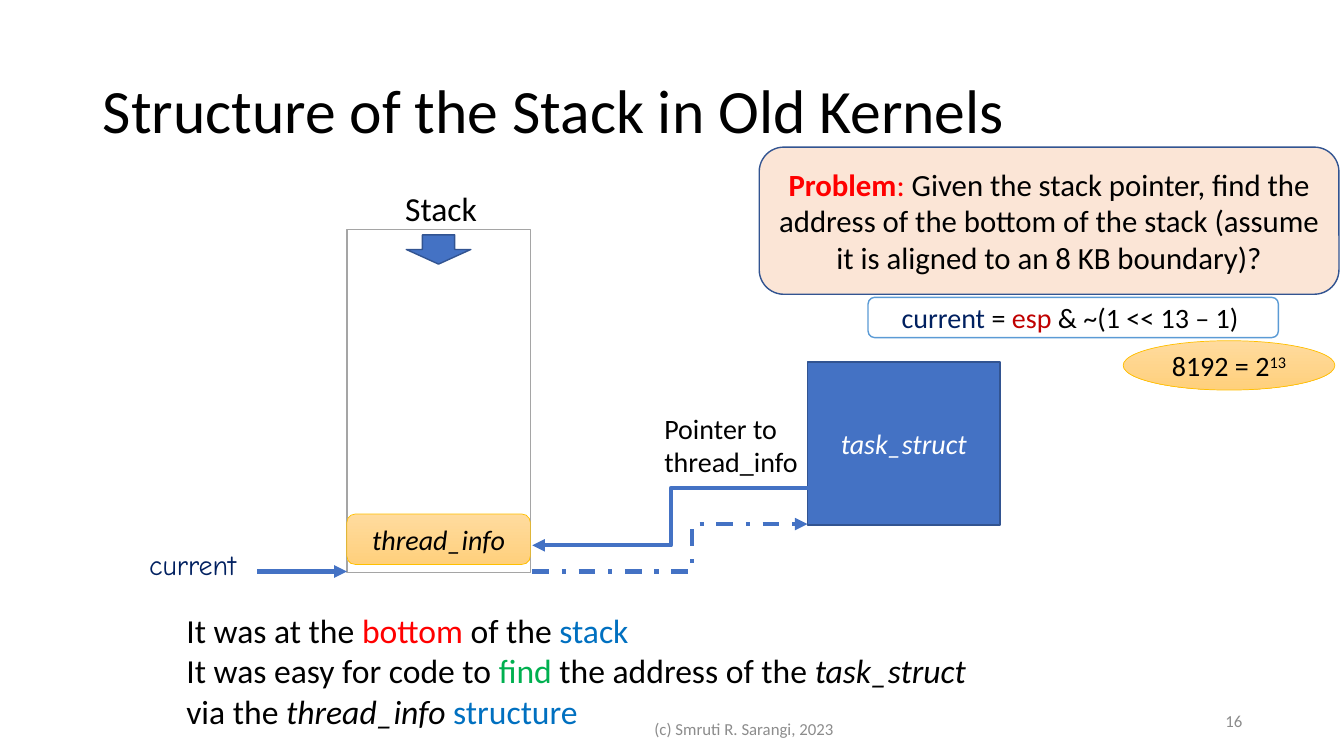
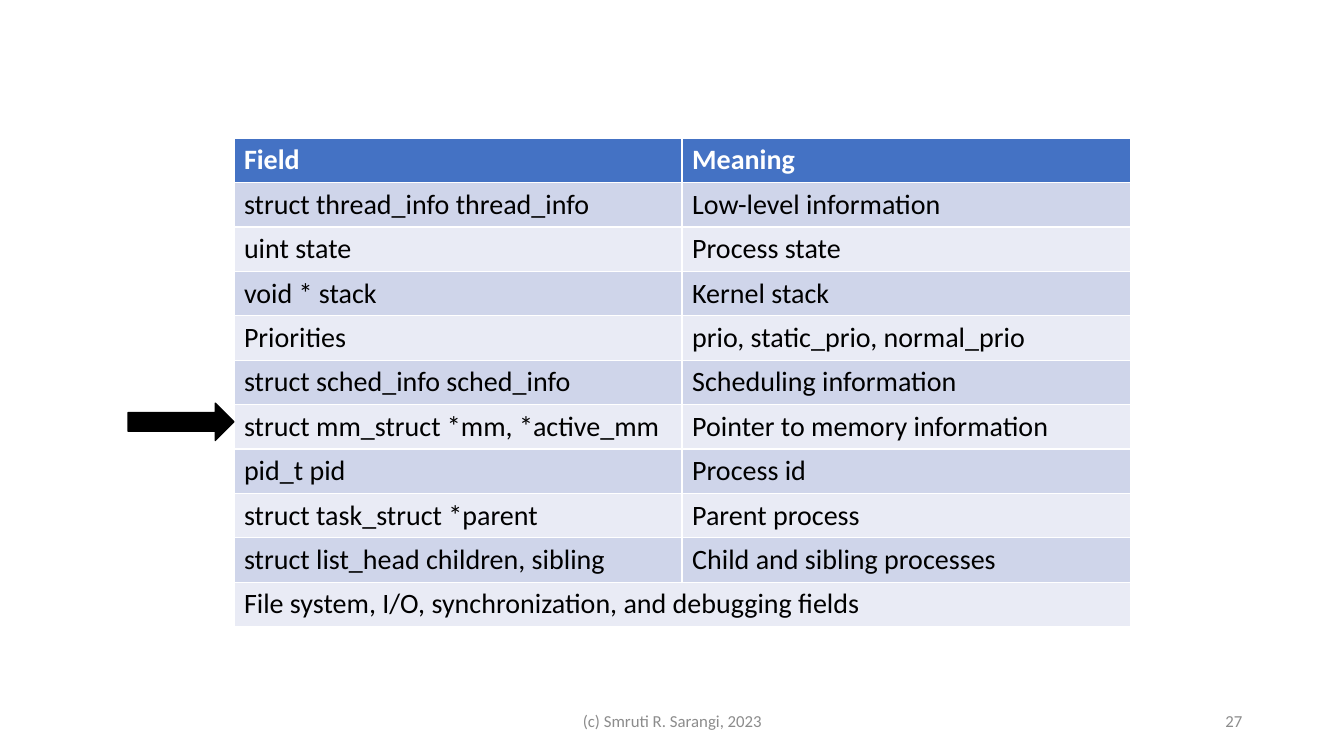
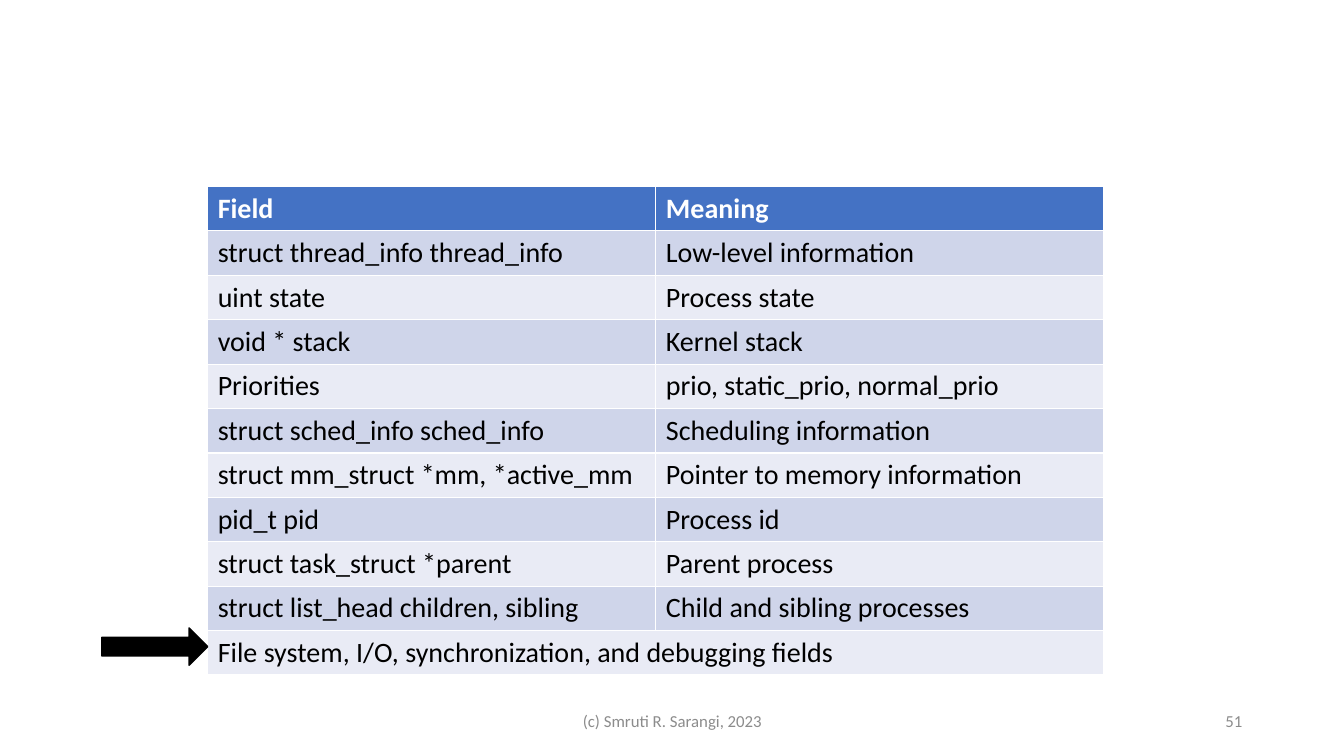
from pptx import Presentation
from pptx.dml.color import RGBColor
from pptx.enum.dml import MSO_LINE
from pptx.enum.shapes import MSO_CONNECTOR as LINK, MSO_SHAPE as SHAPE
from pptx.enum.text import MSO_ANCHOR as ANCHOR, PP_ALIGN as ALIGN
from pptx.oxml.ns import qn
from pptx.util import Inches, Pt
from lxml.etree import SubElement

COLOURS = {
    "black": "000000", "white": "FFFFFF", "grey": "8C8C8C", "frame": "A5A5A5",
    "blue": "4472C4", "outline": "325491", "sky": "5B9BD5", "navy": "002060",
    "azure": "0070C0", "red": "FF0000", "crimson": "C00000", "green": "00B050",
    "peach": "FBE5D6", "gold": "FFC000", "gold_top": "FFDB9E", "gold_end": "FFD07C",
    "band_dark": "CFD5EA", "band_light": "E9EBF5",
}
RGB = {name: RGBColor.from_string(value) for name, value in COLOURS.items()}
FONT = "Calibri"


def write(frame, paragraphs, size, align=ALIGN.LEFT, anchor=ANCHOR.TOP, font=FONT):
    """Fill a text frame; a run is (text, colour, style), style holding b, i or ^."""
    frame.word_wrap = True
    frame.vertical_anchor = anchor
    for index, runs in enumerate(paragraphs):
        paragraph = frame.add_paragraph() if index else frame.paragraphs[0]
        paragraph.alignment = align
        for text, colour, style in runs:
            if text == "\n":
                paragraph.add_line_break()
                continue
            run = paragraph.add_run()
            run.text = text
            run.font.name = font
            run.font.size = Pt(size)
            run.font.bold = "b" in style
            run.font.italic = "i" in style
            run.font.color.rgb = RGB[colour]
            if "^" in style:
                run.font._element.set("baseline", "30000")


def draw(slide, kind, box, fill, line, width=1, runs=(), size=20):
    """Add a preset shape with centred text; the fill "gold" is a gradient."""
    shape = slide.shapes.add_shape(kind, *map(Inches, box))
    shape.shadow.inherit = False
    if fill == "gold":
        shape.fill.gradient()
        shape.fill.gradient_angle = 270
        for stop, colour in zip(shape.fill.gradient_stops, ("gold_top", "gold_end")):
            stop.color.rgb = RGB[colour]
    else:
        shape.fill.solid()
        shape.fill.fore_color.rgb = RGB[fill]
    shape.line.color.rgb = RGB[line]
    shape.line.width = Pt(width)
    if runs:
        write(shape.text_frame, [runs], size, ALIGN.CENTER, ANCHOR.MIDDLE)


prs = Presentation()
prs.slide_width, prs.slide_height = Inches(13.33), Inches(7.5)
TITLE_ONLY, BLANK = prs.slide_layouts[5], prs.slide_layouts[6]

# Stack structure
stack_slide = prs.slides.add_slide(TITLE_ONLY)
title = stack_slide.shapes.title
title.left, title.top, title.width, title.height = map(Inches, (0.92, 0.4, 11.5, 1.45))
write(title.text_frame, [[("Structure of the Stack in Old Kernels", "black", "")]],
      44, anchor=ANCHOR.MIDDLE)
title.text_frame.paragraphs[0].line_spacing = 0.9

for kind, box, fill, line, width, runs, size in [
    (SHAPE.RECTANGLE, (3.44, 2.28, 1.82, 3.4), "white", "frame", 1, [], 20),
    (SHAPE.DOWN_ARROW, (4.03, 2.33, 0.64, 0.29), "blue", "outline", 1, [], 20),
    (SHAPE.ROUNDED_RECTANGLE, (3.44, 5.1, 1.82, 0.5), "gold", "gold", 0.5,
     [("thread_info", "black", "i")], 20),
    (SHAPE.RECTANGLE, (8.01, 3.59, 1.91, 1.62), "blue", "outline", 1,
     [("task_struct", "white", "i")], 20),
    (SHAPE.ROUNDED_RECTANGLE, (7.53, 1.46, 5.75, 1.46), "peach", "outline", 1,
     [("Problem", "red", "b"), (": ", "red", ""),
      ("Given the stack pointer, find the address of the bottom of the stack "
       "(assume it is aligned to an 8 KB boundary)?", "black", "")], 22),
    (SHAPE.ROUNDED_RECTANGLE, (8.61, 2.95, 4.07, 0.4), "white", "sky", 1,
     [("current", "navy", ""), (" = ", "black", ""), ("esp", "crimson", ""),
      (" & ~(1 << 13 – 1) ", "black", "")], 20),
    (SHAPE.OVAL, (11.14, 3.38, 2.1, 0.49), "gold", "gold", 0.5,
     [("8192 = 2", "black", ""), ("13", "black", "^")], 20),
]:
    draw(stack_slide, kind, box, fill, line, width, runs, size)

for box, size, font, paragraphs in [
    ((3.92, 1.82, 1, 0.5), 24, FONT, [[("Stack", "black", "")]]),
    ((6.49, 4.03, 1.91, 0.77), 20, FONT, [[("Pointer to thread_info", "black", "")]]),
    ((1.38, 5.38, 1.19, 0.44), 20, "Comic Neue", [[("current", "navy", "")]]),
    ((1.75, 6, 8.2, 1.31), 24, FONT, [
        [("It was at the ", "black", ""), ("bottom", "red", ""),
         (" of the ", "black", ""), ("stack", "azure", "")],
        [("It was easy for code to ", "black", ""), ("find", "green", ""),
         (" the address of the ", "black", ""), ("task_struct", "black", "i"),
         ("\n", "black", ""), ("via the ", "black", ""),
         ("thread_info ", "black", "i"), ("structure", "azure", "")],
    ]),
]:
    label = stack_slide.shapes.add_textbox(*map(Inches, box))
    write(label.text_frame, paragraphs, size, font=font)

for kind, ends, dash, bend in [
    (LINK.ELBOW, (8.03, 4.84, 5.28, 5.41), None, None),
    (LINK.STRAIGHT, (2.55, 5.67, 3.44, 5.67), None, None),
    (LINK.ELBOW, (5.28, 5.67, 8.01, 5.2), MSO_LINE.DASH_DOT, 58000),
]:
    pointer = stack_slide.shapes.add_connector(kind, *map(Inches, ends))
    pointer.line.color.rgb = RGB["blue"]
    pointer.line.width = Pt(3)
    if dash:
        pointer.line.dash_style = dash
    properties = pointer._element.spPr
    SubElement(properties.find(qn("a:ln")), qn("a:tailEnd"), type="triangle")
    SubElement(properties, qn("a:effectLst"))
    if bend:
        guides = properties.find(qn("a:prstGeom")).find(qn("a:avLst"))
        SubElement(guides, qn("a:gd"), name="adj1", fmla=f"val {bend}")

# Fields of task_struct, with an arrow at the field under discussion
FIELDS = [
    ("Field", "Meaning"),
    ("struct thread_info thread_info", "Low-level information"),
    ("uint state", "Process state"),
    ("void * stack", "Kernel stack"),
    ("Priorities", "prio, static_prio, normal_prio"),
    ("struct sched_info sched_info", "Scheduling information"),
    ("struct mm_struct *mm, *active_mm", "Pointer to memory information"),
    ("pid_t pid", "Process id"),
    ("struct task_struct *parent", "Parent process"),
    ("struct list_head children, sibling", "Child and sibling processes"),
    ("File system, I/O, synchronization, and debugging fields", ""),
]
ROW_HEIGHT, TABLE_WIDTH, ARROW_WIDTH = 0.44, 8.89, 1.05

field_slides = []
for left, top, arrow_top in [(2.32, 1.37, 4), (2.06, 1.85, 6.23)]:
    slide = prs.slides.add_slide(BLANK)
    field_slides.append(slide)
    table = slide.shapes.add_table(
        len(FIELDS), 2, Inches(left), Inches(top),
        Inches(TABLE_WIDTH), Inches(ROW_HEIGHT * len(FIELDS))).table
    table.cell(len(FIELDS) - 1, 0).merge(table.cell(len(FIELDS) - 1, 1))
    for row, texts in enumerate(FIELDS):
        fill = "band_dark" if row % 2 else "band_light"
        colour, style = "black", ""
        if row == 0:
            fill, colour, style = "blue", "white", "b"
        for column, text in enumerate(texts):
            cell = table.cell(row, column)
            cell.fill.solid()
            cell.fill.fore_color.rgb = RGB[fill]
            if text:
                write(cell.text_frame, [[(text, colour, style)]], 20)
    draw(slide, SHAPE.RIGHT_ARROW, (left - ARROW_WIDTH, arrow_top, ARROW_WIDTH, 0.37),
         "black", "black")

# Footers
for slide, number, credit_left, credit_top in [
    (stack_slide, "16", 5.13, 7.03),
    (field_slides[0], "27", 4.42, 6.95),
    (field_slides[1], "51", 4.42, 6.95),
]:
    for text, box, align in [
        ("(c) Smruti R. Sarangi, 2023", (credit_left, credit_top, 4.5, 0.4), ALIGN.CENTER),
        (number, (9.42, 6.95, 3, 0.4), ALIGN.RIGHT),
    ]:
        footer = slide.shapes.add_textbox(*map(Inches, box))
        write(footer.text_frame, [[(text, "grey", "")]], 12, align, ANCHOR.MIDDLE)

prs.save("out.pptx")
